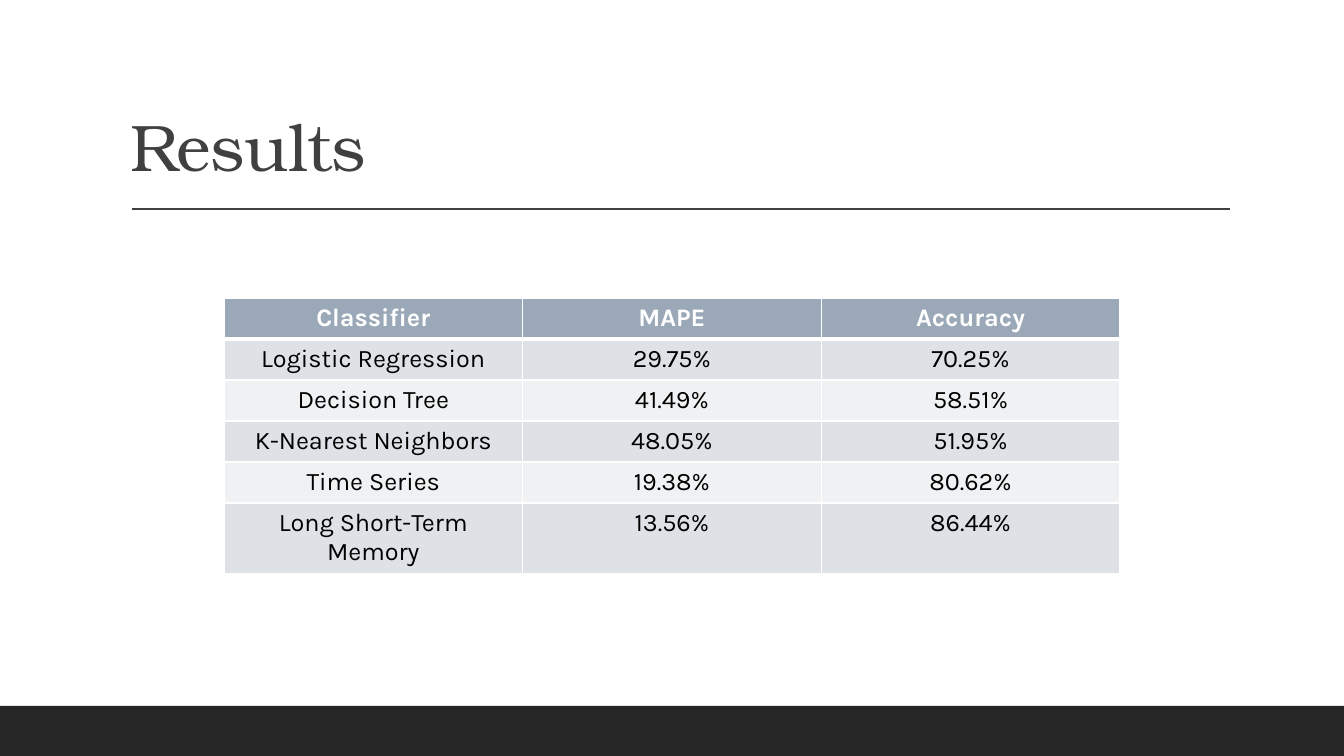
import pptx
import pptx.dml.color
import pptx.enum.shapes
import pptx.enum.text
import pptx.oxml
import pptx.oxml.ns
import pptx.util

RGBColor = pptx.dml.color.RGBColor
WHITE = RGBColor(0xFF, 0xFF, 0xFF)
BLACK = RGBColor(0, 0, 0)
FOOTER_DARK = RGBColor(0x26, 0x26, 0x26)
TITLE_GREY = RGBColor(0x40, 0x40, 0x40)
HEADER_BLUE = RGBColor(0x9B, 0xA8, 0xB7)
BAND_DARK = RGBColor(0xDE, 0xE1, 0xE6)
BAND_LIGHT = RGBColor(0xEF, 0xF1, 0xF3)

TITLE_FONT = "TeX Gyre Bonum"
BODY_FONT = "Karla"
SLIDE_WIDTH, SLIDE_HEIGHT = 1344, 756
PIXELS_PER_INCH = 100.8

RESULTS = [
    ("Classifier", "MAPE", "Accuracy"),
    ("Logistic Regression", "29.75%", "70.25%"),
    ("Decision Tree", "41.49%", "58.51%"),
    ("K-Nearest Neighbors", "48.05%", "51.95%"),
    ("Time Series", "19.38%", "80.62%"),
    ("Long Short-Term Memory", "13.56%", "86.44%"),
]


def px(length):
    return pptx.util.Emu(round(length * 914400 / PIXELS_PER_INCH))


def add_footer_band(slide, left, top, width, height):
    band = slide.shapes.add_shape(
        pptx.enum.shapes.MSO_SHAPE.RECTANGLE, px(left), px(top), px(width), px(height))
    band.shadow.inherit = False
    band.fill.solid()
    band.fill.fore_color.rgb = FOOTER_DARK
    band.line.fill.background()


def add_title(slide, left, top, width, height, text):
    # Heading, resting on the bottom of its box
    box = slide.shapes.add_textbox(px(left), px(top), px(width), px(height))
    frame = box.text_frame
    frame.word_wrap = True
    frame.vertical_anchor = pptx.enum.text.MSO_ANCHOR.BOTTOM
    frame.text = text
    paragraph = frame.paragraphs[0]
    paragraph.line_spacing = 0.9
    font = paragraph.runs[0].font
    font.name = TITLE_FONT
    font.size = pptx.util.Pt(47)
    font.color.rgb = TITLE_GREY
    paragraph.runs[0]._r.get_or_add_rPr().set("spc", "-50")

    # Rule below the heading
    rule_left, rule_top, rule_width = left + 11, top + height + 18, width - 11
    rule = slide.shapes.add_connector(
        pptx.enum.shapes.MSO_CONNECTOR.STRAIGHT,
        px(rule_left), px(rule_top), px(rule_left + rule_width), px(rule_top))
    rule.line.color.rgb = TITLE_GREY
    rule.line.width = pptx.util.Pt(1)
    rule._element.spPr.append(pptx.oxml.parse_xml(
        f'<a:effectLst {pptx.oxml.ns.nsdecls("a")}/>'))


def set_borders(cell, top, bottom):
    """Give the cell white borders; widths are in points."""
    properties = cell._tc.get_or_add_tcPr()
    widths = {"lnL": 1, "lnR": 1, "lnT": top, "lnB": bottom}
    for index, (side, width) in enumerate(widths.items()):
        properties.insert(index, pptx.oxml.parse_xml(
            f'<a:{side} {pptx.oxml.ns.nsdecls("a")} w="{pptx.util.Pt(width)}">'
            f'<a:solidFill><a:srgbClr val="{WHITE}"/></a:solidFill></a:{side}>'))


def add_results_table(slide, left, top, width, row_height, rows):
    table = slide.shapes.add_table(
        len(rows), len(rows[0]), px(left), px(top), px(width),
        px(row_height * len(rows))).table
    for row_index, row in enumerate(rows):
        is_header = row_index == 0
        band = BAND_DARK if row_index % 2 else BAND_LIGHT
        for column_index, text in enumerate(row):
            cell = table.cell(row_index, column_index)
            cell.fill.solid()
            cell.fill.fore_color.rgb = HEADER_BLUE if is_header else band
            set_borders(cell, top=3 if row_index == 1 else 1, bottom=3 if is_header else 1)
            cell.text_frame.text = text
            paragraph = cell.text_frame.paragraphs[0]
            paragraph.alignment = pptx.enum.text.PP_ALIGN.CENTER
            font = paragraph.runs[0].font
            font.name = BODY_FONT
            font.size = pptx.util.Pt(18)
            font.bold = is_header
            font.color.rgb = WHITE if is_header else BLACK


def main():
    presentation = pptx.Presentation()
    presentation.slide_width = px(SLIDE_WIDTH)
    presentation.slide_height = px(SLIDE_HEIGHT)
    slide = presentation.slides.add_slide(presentation.slide_layouts[6])

    add_footer_band(slide, 0, 706, SLIDE_WIDTH, 50)
    add_title(slide, 121, 31, 1109, 160, "Results")
    add_results_table(slide, 224, 298, 896, 41, RESULTS)
    presentation.save("out.pptx")


if __name__ == "__main__":
    main()
